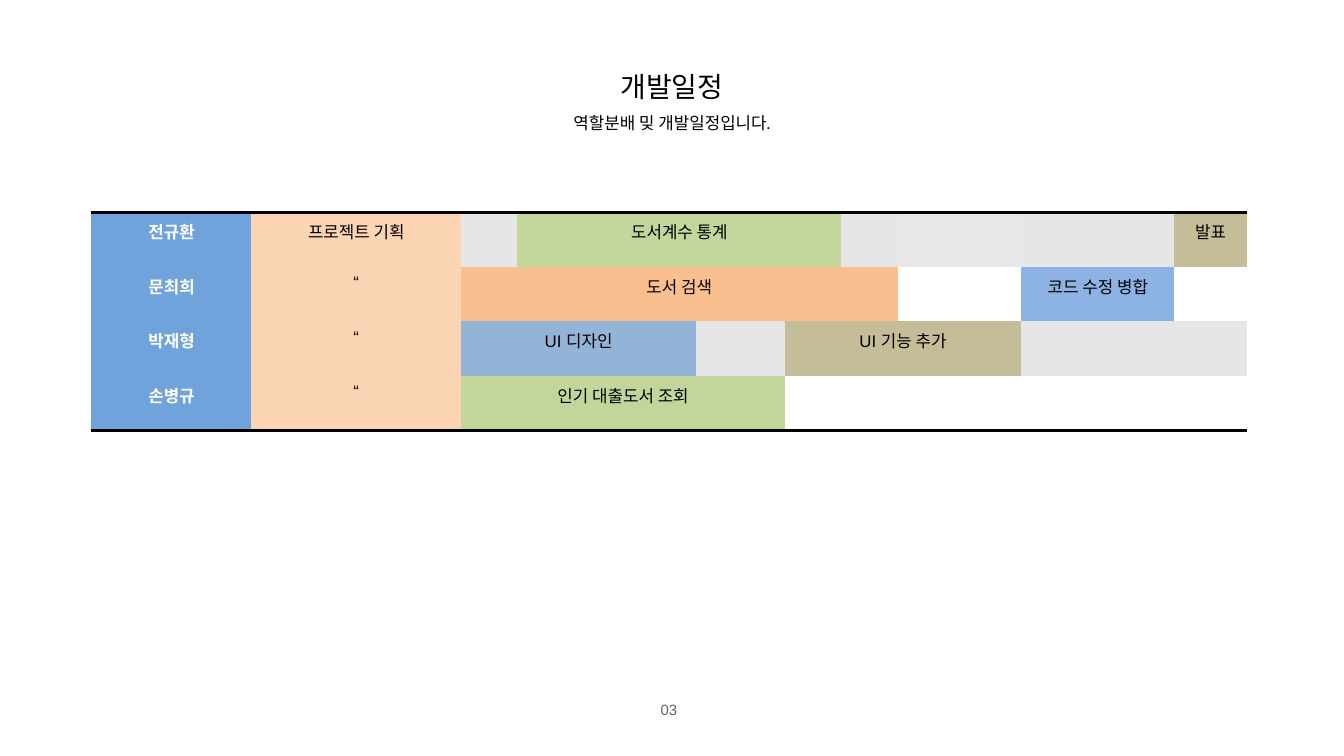
from typing import NamedTuple

from lxml.etree import SubElement
from pptx import Presentation
from pptx.dml.color import RGBColor
from pptx.enum.text import MSO_ANCHOR, MSO_AUTO_SIZE, PP_ALIGN
from pptx.oxml.ns import qn
from pptx.util import Pt

NO_STYLE = "{2D5ABB26-0587-4C30-8999-92F81FD0307C}"
COL_WIDTHS = [85.7, 112.3, 30.2, 95.8, 47.5, 30.2, 30.2, 36, 30.2, 49.7, 32.4, 38.9]
ROW_HEIGHT = 28.8
NAME_FILL, PLAN_FILL = "70A2DB", "FBD4B4"


class Task(NamedTuple):
    fill: str
    text: str = ""
    span: int = 1


class Member(NamedTuple):
    name: str
    plan: str
    tasks: list[Task]


GREY, LIGHT, WHITE = Task("E6E6E6"), Task("E7E7E7"), Task("FFFFFF")
MEMBERS = [
    Member("전규환", "프로젝트 기획", [
        GREY, Task("C3D69B", "도서계수 통계", 3), GREY, LIGHT, LIGHT, GREY, GREY,
        Task("C4BD97", "발표")]),
    Member("문최희", "“", [
        Task("FABF8E", "도서 검색", 5), WHITE, WHITE,
        Task("8CB3E3", "코드 수정 병합", 2), WHITE]),
    Member("박재형", "“", [
        Task("93B3D7", "UI 디자인", 2), GREY, Task("C4BD97", "UI 기능 추가", 4),
        GREY, GREY, GREY]),
    Member("손병규", "“", [Task("C2D59B", "인기 대출도서 조회", 3)] + [WHITE] * 7),
]


def rgb(color: str) -> RGBColor:
    return RGBColor.from_string(color)


def write(tf, text: str, *, size: float = 9, font: str = "Arial",
          color: str = "000000", bold: bool = False) -> None:
    p = tf.paragraphs[0]
    p.alignment = PP_ALIGN.CENTER
    r = p.add_run()
    r.text = text
    r.font.size, r.font.name, r.font.bold = Pt(size), font, bold
    r.font.color.rgb = rgb(color)


def place(s, left: float, top: float, width: float, height: float):
    """Position a text shape, set its tight insets and return its text frame."""
    s.left, s.top, s.width, s.height = Pt(left), Pt(top), Pt(width), Pt(height)
    tf = s.text_frame
    tf.word_wrap = True
    tf.auto_size = MSO_AUTO_SIZE.NONE
    tf.vertical_anchor = MSO_ANCHOR.TOP
    tf.margin_left = tf.margin_right = Pt(3.6)
    tf.margin_top = tf.margin_bottom = Pt(1.5)
    return tf


def add_border(cell, side: str) -> None:
    tc_pr = cell._tc.get_or_add_tcPr()
    ln = SubElement(tc_pr, qn(f"a:{side}"), w=str(Pt(2)))
    fill = SubElement(ln, qn("a:solidFill"))
    SubElement(fill, qn("a:srgbClr"), val="000000")
    tc_pr.insert(0, ln)  # borders come before the cell fill


def fill_row(table, row: int, member: Member) -> None:
    cells = [Task(NAME_FILL, member.name), Task(PLAN_FILL, member.plan), *member.tasks]
    col = 0
    for task in cells:
        cell = table.cell(row, col)
        if task.span > 1:
            cell.merge(table.cell(row, col + task.span - 1))
        cell.fill.solid()
        cell.fill.fore_color.rgb = rgb(task.fill)
        if task.text:
            is_name = col == 0
            write(cell.text_frame, task.text, bold=is_name,
                  color="FFFFFF" if is_name else "000000")
        col += task.span


def add_schedule(slide, left: float, top: float) -> None:
    frame = slide.shapes.add_table(
        len(MEMBERS), len(COL_WIDTHS), Pt(left), Pt(top),
        Pt(sum(COL_WIDTHS)), Pt(ROW_HEIGHT * len(MEMBERS)))
    table = frame.table
    table.first_row = table.horz_banding = False
    table._tbl.tblPr.find(qn("a:tableStyleId")).text = NO_STYLE
    for column, width in zip(table.columns, COL_WIDTHS):
        column.width = Pt(width)
    for row, member in enumerate(MEMBERS):
        table.rows[row].height = Pt(ROW_HEIGHT)
        fill_row(table, row, member)
    for col in range(len(COL_WIDTHS)):
        add_border(table.cell(0, col), "lnT")
        add_border(table.cell(len(MEMBERS) - 1, col), "lnB")


def main() -> None:
    prs = Presentation()
    prs.slide_width, prs.slide_height = Pt(720), Pt(405)
    slide = prs.slides.add_slide(prs.slide_layouts[5])

    write(place(slide.shapes.title, 178, 36, 364, 21.6), "개발일정", size=15)
    subtitle = slide.shapes.add_textbox(0, 0, 0, 0)
    write(place(subtitle, 178, 59, 364, 14.4), "역할분배 밎 개발일정입니다.", font="Calibri")
    add_schedule(slide, 49, 113.8)
    page_number = slide.shapes.add_textbox(0, 0, 0, 0)
    write(place(page_number, 176.4, 373.7, 364, 16.6), "03", size=8, color="656565")

    prs.save("out.pptx")


if __name__ == "__main__":
    main()
